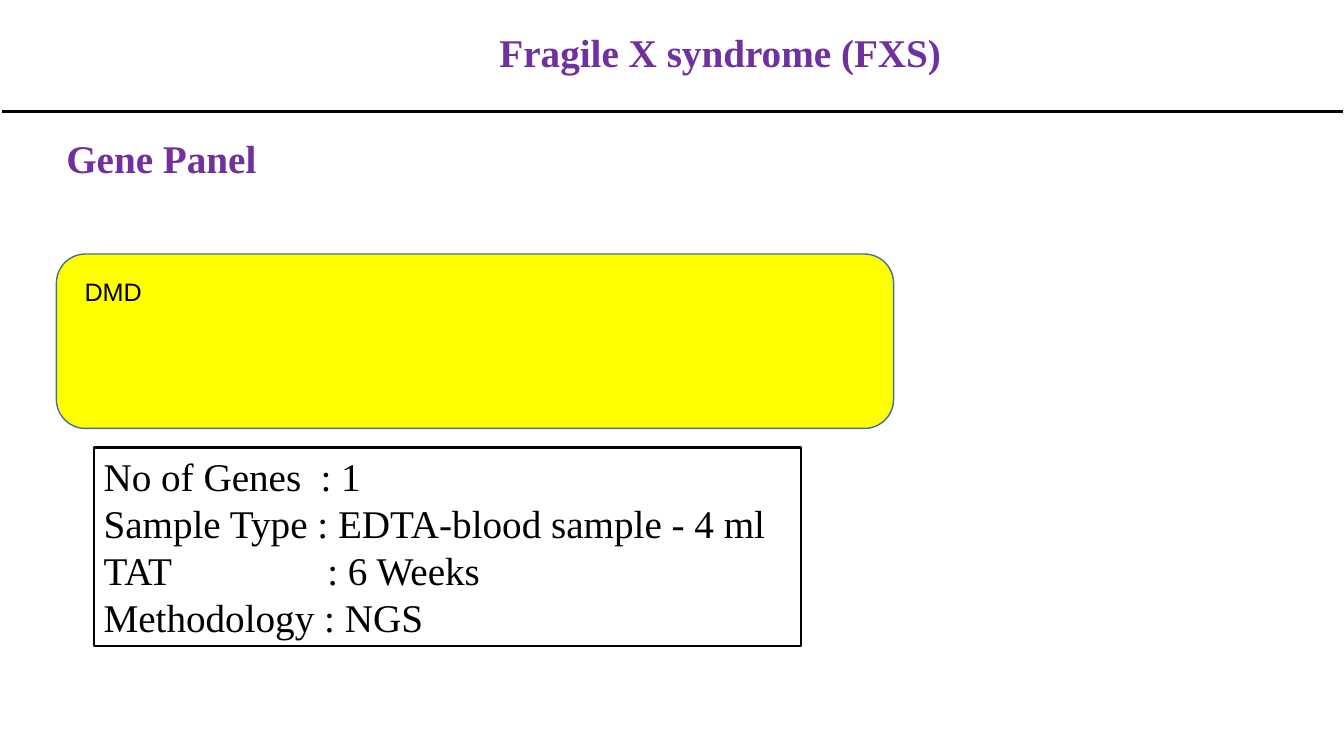
import dataclasses

import lxml.etree as etree
import pptx
import pptx.dml.color
import pptx.enum.shapes
import pptx.enum.text
import pptx.oxml.ns
import pptx.util

WIDE, HIGH = pptx.util.Inches(13.34), pptx.util.Inches(7.5)
HUES = {"ink": "000000", "head": "7030A0", "panel": "FFFF00", "edge": "41719C"}
SERIF, SANS = "Times New Roman", "Arial"


@dataclasses.dataclass
class Box:
    """Place and size in percent of the slide."""
    left: float
    top: float
    width: float
    height: float

    def place(self) -> tuple:
        return (across(self.left), down(self.top),
                across(self.width), down(self.height))


@dataclasses.dataclass
class Label:
    box: Box
    lines: list
    size: int = 28
    face: str = SERIF
    hue: str = "ink"
    bold: bool = False
    stops: tuple = ()  # tab stop of each line, in percent of the width


def across(share: float) -> int:
    return round(WIDE * share / 100)


def down(share: float) -> int:
    return round(HIGH * share / 100)


def color(name: str) -> pptx.dml.color.RGBColor:
    return pptx.dml.color.RGBColor.from_string(HUES[name])


def set_line(shape, hue: str, width: float) -> None:
    shape.line.color.rgb = color(hue)
    shape.line.width = pptx.util.Pt(width)


def add_tab(para, share: float) -> None:
    tag = pptx.oxml.ns.qn
    tabs = etree.SubElement(para._p.get_or_add_pPr(), tag("a:tabLst"))
    etree.SubElement(tabs, tag("a:tab"), pos=str(across(share)), algn="l")


def write(shape, label: Label) -> None:
    shape.left, shape.top, shape.width, shape.height = label.box.place()
    frame = shape.text_frame
    frame.word_wrap = True
    frame.auto_size = pptx.enum.text.MSO_AUTO_SIZE.NONE
    frame.text = "\n".join(label.lines)
    for para, stop in zip(frame.paragraphs, label.stops):
        add_tab(para, stop)
    for para in frame.paragraphs:
        for run in para.runs:
            run.font.name = label.face
            run.font.size = pptx.util.Pt(label.size)
            run.font.bold = label.bold
            run.font.color.rgb = color(label.hue)


def add_label(slide, label: Label):
    shape = slide.shapes.add_textbox(*label.box.place())
    write(shape, label)
    return shape


def add_title(slide, label: Label) -> None:
    title = slide.shapes.title
    write(title, label)
    title.text_frame.vertical_anchor = pptx.enum.text.MSO_ANCHOR.MIDDLE
    para = title.text_frame.paragraphs[0]
    para.alignment = pptx.enum.text.PP_ALIGN.CENTER
    para.line_spacing = 0.9


def add_rule(slide, left: float, right: float, top: float) -> None:
    rule = slide.shapes.add_connector(
        pptx.enum.shapes.MSO_CONNECTOR.STRAIGHT,
        across(left), down(top), across(right), down(top))
    set_line(rule, "ink", 2.25)
    etree.SubElement(rule._element.spPr, pptx.oxml.ns.qn("a:effectLst"))


def add_panel(slide, box: Box) -> None:
    panel = slide.shapes.add_shape(
        pptx.enum.shapes.MSO_SHAPE.ROUNDED_RECTANGLE, *box.place())
    panel.shadow.inherit = False
    panel.fill.solid()
    panel.fill.fore_color.rgb = color("panel")
    set_line(panel, "edge", 1)


def main() -> None:
    deck = pptx.Presentation()
    deck.slide_width, deck.slide_height = WIDE, HIGH
    slide = deck.slides.add_slide(deck.slide_layouts[5])

    # Title and rule
    add_title(slide, Label(Box(10.49, 0, 86.21, 14.53),
                           ["Fragile X syndrome (FXS)"],
                           hue="head", bold=True))
    add_rule(slide, 0.15, 99.93, 14.8)

    # Gene panel
    add_panel(slide, Box(4.2, 33.6, 62.29, 23.07))
    add_label(slide, Label(Box(5.55, 35.87, 86.21, 5.33), ["DMD"],
                           size=18, face=SANS))

    # Test facts
    facts = add_label(slide, Label(
        Box(6.97, 59.2, 52.62, 26.27),
        ["No of Genes\t: 1",
         "Sample Type : EDTA-blood sample - 4 ml",
         "TAT\t: 6 Weeks",
         "Methodology : NGS"],
        stops=(16.15, 16.15, 16.65, 16.65)))
    set_line(facts, "ink", 1.5)

    # Section heading
    add_label(slide, Label(Box(4.2, 17.07, 28.41, 7.6), ["Gene Panel"],
                           hue="head", bold=True))

    deck.save("out.pptx")


if __name__ == "__main__":
    main()
